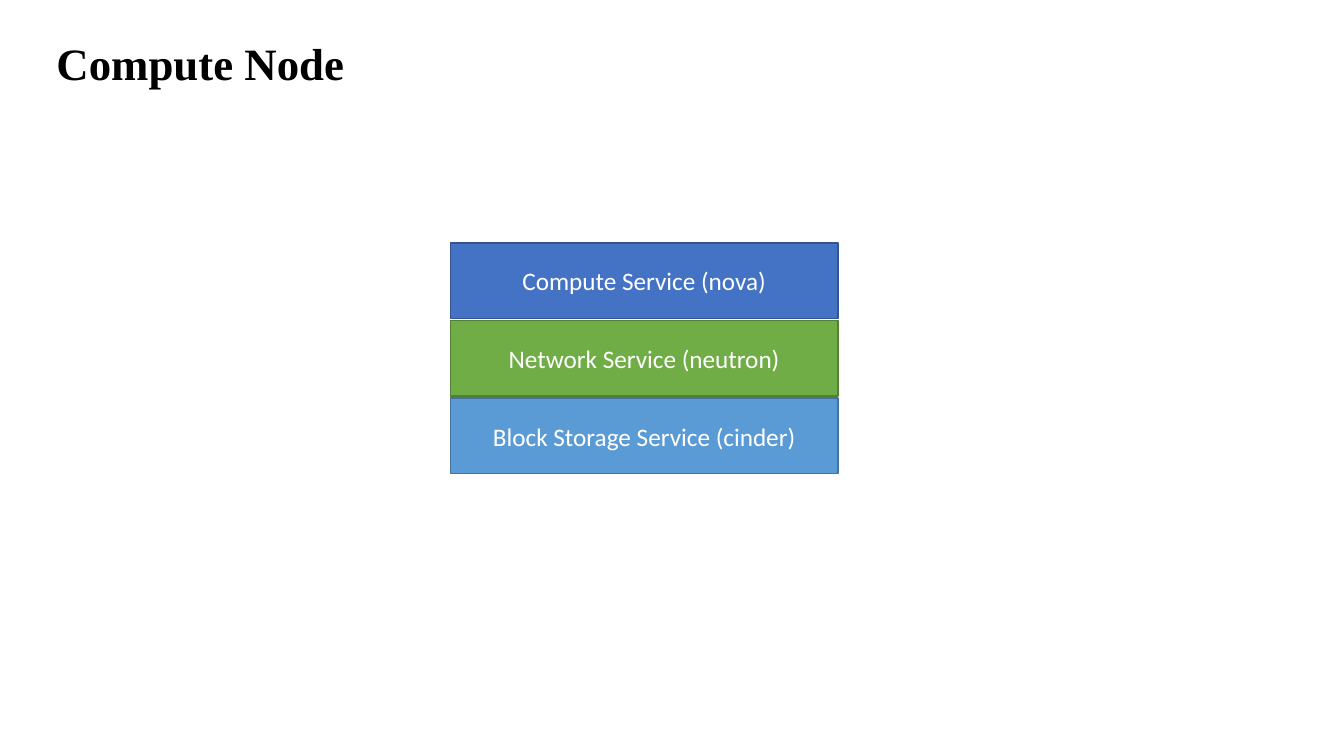
from pptx import Presentation, util as u
from pptx.dml.color import RGBColor
from pptx.enum import shapes, text

HEADING = "Compute Node"
SERVICES = [
    ("Compute Service (nova)", "blue"),
    ("Network Service (neutron)", "green"),
    ("Block Storage Service (cinder)", "sky"),
]
COLOURS = {
    "black": "000000", "white": "FFFFFF",
    "blue": "4472C4", "blue edge": "325491",
    "green": "70AD47", "green edge": "538035",
    "sky": "5B9BD5", "sky edge": "43739E",
}
LEFT, TOP, WIDTH, HEIGHT, PITCH = 4.47, 2.41, 3.84, 0.75, 0.77


def colour(name):
    return RGBColor.from_string(COLOURS[name])


def write(frame, words, font_name, size, ink, align, bold=False):
    frame.vertical_anchor = text.MSO_ANCHOR.MIDDLE
    line = frame.paragraphs[0]
    line.alignment = align
    run = line.add_run()
    run.text = words
    run.font.name = font_name
    run.font.size = u.Pt(size)
    run.font.bold = bold
    run.font.color.rgb = colour(ink)


deck = Presentation()
deck.slide_width, deck.slide_height = u.Inches(13.33), u.Inches(7.5)
slide = deck.slides.add_slide(deck.slide_layouts[5])

heading = slide.shapes.title
heading.left, heading.top = u.Inches(0.46), u.Inches(0.3)
heading.width, heading.height = u.Inches(3.14), u.Inches(0.64)
heading.text_frame.word_wrap = False
heading.text_frame.auto_size = text.MSO_AUTO_SIZE.NONE
write(heading.text_frame, HEADING, "Times New Roman", 32, "black",
      text.PP_ALIGN.LEFT, bold=True)

for row, (label, fill) in enumerate(SERVICES):
    service = slide.shapes.add_shape(
        shapes.MSO_SHAPE.RECTANGLE, u.Inches(LEFT), u.Inches(TOP + row * PITCH),
        u.Inches(WIDTH), u.Inches(HEIGHT))
    service.shadow.inherit = False
    service.fill.solid()
    service.fill.fore_color.rgb = colour(fill)
    service.line.color.rgb = colour(fill + " edge")
    service.line.width = u.Pt(1)
    service.text_frame.word_wrap = True
    write(service.text_frame, label, "Calibri", 18, "white", text.PP_ALIGN.CENTER)

deck.save("out.pptx")
